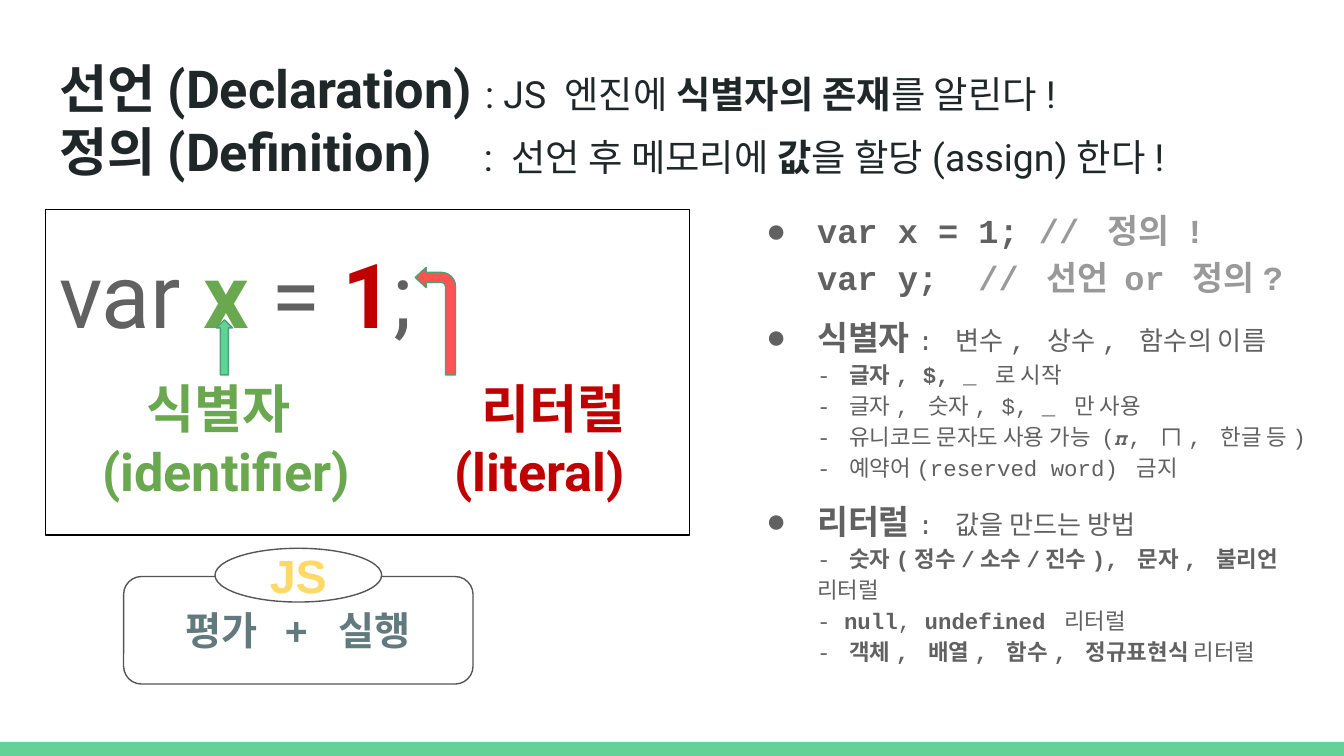
from copy import deepcopy
from dataclasses import dataclass

from lxml import etree
from pptx import Presentation
from pptx.dml.color import RGBColor
from pptx.enum.shapes import MSO_SHAPE
from pptx.enum.text import MSO_ANCHOR, MSO_AUTO_SIZE, PP_ALIGN
from pptx.oxml.ns import qn
from pptx.util import Inches, Pt

TOP, MIDDLE = MSO_ANCHOR.TOP, MSO_ANCHOR.MIDDLE
LEFT, CENTER = PP_ALIGN.LEFT, PP_ALIGN.CENTER
NO_FIT = MSO_AUTO_SIZE.NONE
BREAK = "\n"


@dataclass(frozen=True)
class Theme:
    # Fonts
    main: str = "Roboto"
    code: str = "Courier New"
    label: str = "Arial"
    # Colours
    ink: str = "202729"
    gray: str = "616161"
    comment: str = "999999"
    green: str = "6AA84F"
    red: str = "C00000"
    mint: str = "63D297"
    mint_edge: str = "4BA173"
    coral: str = "FF5252"
    slate: str = "617A7E"
    yellow: str = "FFD966"
    edge: str = "555555"
    black: str = "000000"
    white: str = "FFFFFF"
    # Type sizes
    display: int = 48
    heading: int = 28
    engine: int = 25
    step: int = 21
    lead: int = 20
    topic: int = 18
    summary: int = 14
    detail: int = 12


class SlideBuilder:
    def __init__(self, page, theme):
        self.page = page
        self.theme = theme

    def placeholder(self, index, left, top, width, height):
        item = self.page.placeholders[index]
        item.left, item.top = Inches(left), Inches(top)
        item.width, item.height = Inches(width), Inches(height)
        frame = item.text_frame
        frame.word_wrap, frame.auto_size = True, NO_FIT
        frame.vertical_anchor = TOP
        frame.margin_left = frame.margin_right = Inches(0.1)
        frame.margin_top = frame.margin_bottom = Inches(0.1)
        return item

    def outline(self, item, color):
        item.line.color.rgb = RGBColor.from_string(color)
        item.line.width = Pt(0.75)

    def shape(self, kind, *box, fill=None, line=None, shapes=None):
        item = (shapes or self.page.shapes).add_shape(kind, *map(Inches, box))
        item.shadow.inherit = False
        if fill:
            item.fill.solid()
            item.fill.fore_color.rgb = RGBColor.from_string(fill)
        else:
            item.fill.background()
        if line:
            self.outline(item, line)
        else:
            item.line.fill.background()
        return item

    def label(self, item, text, size, color):
        item.text_frame.vertical_anchor = MIDDLE
        self.paragraph(item.text_frame, self.theme.label, [(text, size, color, True)],
                       align=CENTER)

    def paragraph(self, frame, font, spans, spacing=1.0, before=0, bullet=None,
                  margin=0, indent=0, align=LEFT):
        """Fill the empty first paragraph, or add one, with spans and breaks."""
        para = frame.paragraphs[0] if not frame.text else frame.add_paragraph()
        para.alignment, para.line_spacing = align, spacing
        para.space_before, para.space_after = Pt(before), Pt(0)
        props = para._p.get_or_add_pPr()
        props.set("marL", str(Inches(margin)))
        props.set("indent", str(Inches(indent)))
        if bullet:
            tint = etree.SubElement(props, qn("a:buClr"))
            etree.SubElement(tint, qn("a:srgbClr"), val=self.theme.gray)
            etree.SubElement(props, qn("a:buChar"), char=bullet)
        else:
            etree.SubElement(props, qn("a:buNone"))
        for item in spans:
            if item == BREAK:
                # A break takes the format of the span before it
                style = deepcopy(para.runs[-1].font._element)
                para.add_line_break()
                para._p.findall(qn("a:br"))[-1].append(style)
            else:
                self.span(para, font, *item)

    def span(self, para, font, text, size, color, bold=False, tracking=0):
        span = para.add_run()
        span.text = text
        span.font.size, span.font.bold = Pt(size), bold
        span.font.color.rgb = RGBColor.from_string(color)
        span.font.name = font
        if tracking:
            span.font._element.set("spc", str(tracking * 100))


def main():
    theme = Theme()
    deck = Presentation()
    deck.slide_width, deck.slide_height = Inches(10), Inches(5.625)
    builder = SlideBuilder(deck.slides.add_slide(deck.slide_layouts[3]), theme)

    # Bottom band
    builder.shape(MSO_SHAPE.RECTANGLE, 0, 5.52, 10, 0.11, fill=theme.mint)

    def heading(text, color=theme.ink):
        return (text, theme.heading, color, True)

    def gap(tracking):
        """One space, widened by a number of points."""
        return (" ", theme.heading, theme.ink, True, tracking)

    def meaning(text, bold=False):
        return (text, theme.lead, theme.ink, bold)

    # Title: the two terms and their meanings
    title = builder.placeholder(0, 0.34, 0.32, 9.32, 1.14)
    builder.paragraph(title.text_frame, theme.main, [
        heading("선언(Declaration) "), meaning(": JS 엔진에 "),
        meaning("식별자의 존재", True), meaning("를 알린다!"), BREAK,
        heading("정의(Definition)"), gap(21), meaning(": 선언 후 메모리에 "),
        meaning("값", True), meaning("을 할당(assign)한다!"),
    ])

    # Statement with its two parts named
    statement = builder.placeholder(1, 0.34, 1.56, 4.79, 2.42)
    builder.outline(statement, theme.black)
    parts = [("var ", theme.gray, False), ("x", theme.green, True),
             (" = ", theme.gray, False), ("1", theme.red, True), (";", theme.gray, False)]
    builder.paragraph(statement.text_frame, theme.main,
                      [(text, theme.display, color, bold) for text, color, bold in parts],
                      spacing=1.15)
    builder.paragraph(statement.text_frame, theme.main, [
        heading("식별자", theme.green), gap(96), heading("리터럴", theme.red), BREAK,
        heading("(identifier)", theme.green), gap(49), heading("(literal)", theme.red),
    ], before=16, margin=0.32, indent=0.33)

    # Arrows from the names to the statement
    builder.shape(MSO_SHAPE.UP_ARROW, 1.61, 2.38, 0.12, 0.41,
                  fill=theme.mint, line=theme.mint_edge)
    bent = builder.shape(MSO_SHAPE.BENT_ARROW, 3.09, 1.99, 0.3, 0.8,
                         fill=theme.coral, line=theme.mint_edge)
    for index, value in enumerate([0.25, 0.25, 0.27, 0.35]):
        bent.adjustments[index] = value
    bent._element.spPr.get_or_add_xfrm().set("flipH", "1")

    # Notes on code, identifiers and literals
    def code(text, color=theme.gray):
        return (text, theme.topic, color, True)

    def summary(text):
        return (text, theme.summary, theme.gray)

    def detail(text, bold=False):
        return (text, theme.detail, theme.gray, bold)

    notes = [
        [code("var x = 1; "), code("// 정의 !", theme.comment), BREAK,
         code("var y;  "), code("// 선언 or 정의?", theme.comment)],
        [code("식별자"), summary(": 변수, 상수, 함수의 이름"), BREAK,
         detail("- "), detail("글자, $, _", True), detail(" 로 시작"), BREAK,
         detail("- 글자, 숫자, $, _ 만 사용"), BREAK,
         detail("- 유니코드 문자도 사용 가능 (𝝅, ㄇ, 한글 등)"), BREAK,
         detail("- 예약어(reserved word) 금지")],
        [code("리터럴"), summary(": 값을 만드는 방법"), BREAK,
         detail("- "), detail("숫자(정수/소수/진수), 문자, 불리언", True), detail(" 리터럴"), BREAK,
         detail("- "), detail("null", True), detail(", "), detail("undefined", True),
         detail(" 리터럴"), BREAK,
         detail("- "), detail("객체, 배열, 함수, 정규표현식", True), detail(" 리터럴")],
    ]
    body = builder.placeholder(2, 5.48, 1.42, 4.41, 3.42)
    for index, spans in enumerate(notes):
        builder.paragraph(body.text_frame, theme.code, spans, spacing=1.15,
                          before=7.5 if index else 0, bullet="●", margin=0.5, indent=-0.38)

    # Engine badge
    badge = builder.page.shapes.add_group_shape().shapes
    steps = builder.shape(MSO_SHAPE.ROUNDED_RECTANGLE, 0.92, 4.29, 2.6, 0.8,
                          line=theme.edge, shapes=badge)
    builder.label(steps, "평가  +  실행", theme.step, theme.slate)
    engine = builder.shape(MSO_SHAPE.OVAL, 1.6, 4.08, 1.24, 0.4,
                           fill=theme.white, line=theme.edge, shapes=badge)
    builder.label(engine, "JS", theme.engine, theme.yellow)

    deck.save("out.pptx")


if __name__ == "__main__":
    main()
